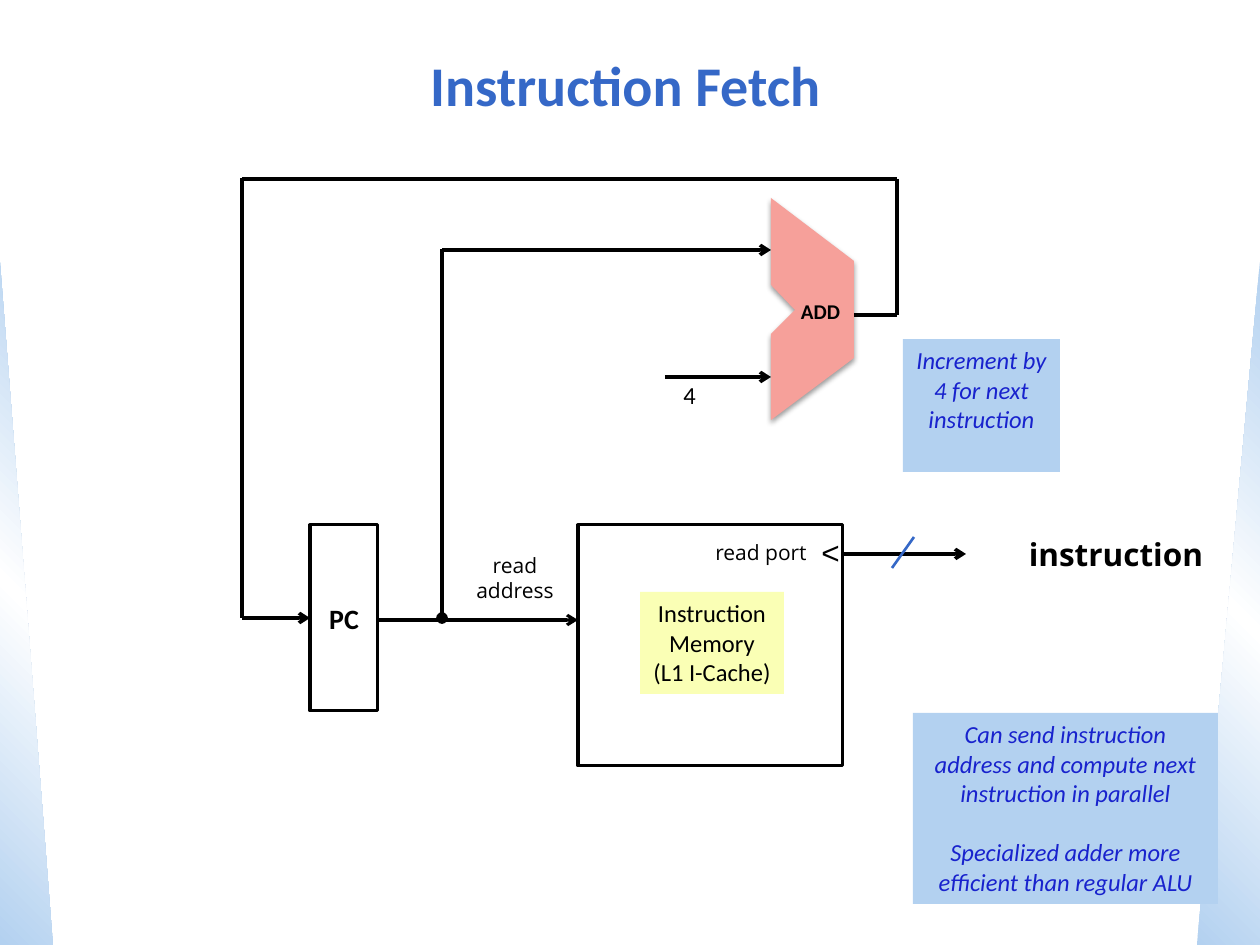
from lxml.etree import SubElement
from pptx import Presentation
from pptx.dml.color import RGBColor
from pptx.enum.shapes import MSO_CONNECTOR as Link, MSO_SHAPE as Preset
from pptx.enum.text import MSO_ANCHOR as Anchor, PP_ALIGN as Align
from pptx.oxml.ns import qn
from pptx.util import Pt

SCALE = 914400 / 126
BLACK, BLUE, PALE, INK = "000000", "3568C7", "B3D1F0", "1822CD"
NOTE = {"size": 14, "color": INK, "italic": True}
LABEL = {"size": 12, "name": "Open Sans"}


def px(*lengths):
    """Turn pixel lengths into EMU."""
    return [round(length * SCALE) for length in lengths]


def rgb(value):
    """Return the colour of a hex string."""
    return RGBColor.from_string(value)


def add_node(parent, tag, **attributes):
    """Append an XML element with attributes."""
    node = SubElement(parent, qn(tag))
    for key, value in attributes.items():
        node.set(key, str(value))
    return node


def write(shape, lines, size=14, name="Calibri", color=BLACK, align=Align.CENTER,
          anchor=Anchor.TOP, wrap=True, margins=None, gap=0, spacing=None, **style):
    """Fill a shape with paragraphs of one format."""
    frame = shape.text_frame
    layout = {"word_wrap": wrap, "vertical_anchor": anchor}
    if margins:
        across, down = px(*margins)
        layout.update(margin_left=across, margin_right=across, margin_top=down, margin_bottom=down)
    for key, value in layout.items():
        setattr(frame, key, value)
    for index, line in enumerate(lines):
        para = frame.add_paragraph() if index else frame.paragraphs[0]
        para.alignment = align
        if index and gap:
            para.space_before = Pt(gap)
        if spacing:
            para.line_spacing = Pt(spacing)
        span = para.add_run()
        span.text = line
        for key, value in {"size": Pt(size), "name": name, **style}.items():
            setattr(span.font, key, value)
        span.font.color.rgb = rgb(color)


def add_text(page, area, lines, **style):
    """Add a text box."""
    write(page.shapes.add_textbox(*px(*area)), lines, **style)


def add_box(page, area, fill=None, outline=None, lines=(), **style):
    """Add a rectangle with optional fill, outline and text."""
    box = page.shapes.add_shape(Preset.RECTANGLE, *px(*area))
    box.shadow.inherit = False
    for paint, color in ((box.fill, fill), (box.line.fill, outline)):
        if color:
            paint.solid()
            paint.fore_color.rgb = rgb(color)
        else:
            paint.background()
    if outline:
        box.line.width = Pt(1.75)
    write(box, lines, **style)


def add_wire(page, start, end, width=2, tail=None, color=BLACK):
    """Add a straight line with an optional end mark."""
    wire = page.shapes.add_connector(Link.STRAIGHT, *px(*start, *end))
    wire.line.color.rgb = rgb(color)
    wire.line.width = Pt(width)
    if tail:
        add_node(wire.line._get_or_add_ln(), "a:tailEnd", type=tail)
    add_node(wire._element.spPr, "a:effectLst")


def add_side(page, area, angle, flip=False):
    """Add a gradient triangle at the slide's edge."""
    side = page.shapes.add_shape(Preset.RIGHT_TRIANGLE, *px(*area))
    side.shadow.inherit = False
    side.line.fill.background()
    side.fill.gradient()
    gradient = side._element.spPr.find(qn("a:gradFill"))
    for child in list(gradient):
        gradient.remove(child)
    stops = add_node(gradient, "a:gsLst")
    for place, color in ((0, PALE), (50, "FFFFFF"), (100, PALE)):
        stop = add_node(stops, "a:gs", pos=place * 1000)
        add_node(stop, "a:srgbClr", val=color)
    add_node(gradient, "a:lin", ang=angle * 60000, scaled=0)
    if flip:
        side._element.spPr.xfrm.set("flipH", "1")


def add_adder(page):
    """Add the notched adder with its soft shadow and label."""
    corners = [(771, 285), (795, 310), (771, 334), (771, 420), (854, 358), (854, 261)]
    builder = page.shapes.build_freeform(771, 198, scale=SCALE)
    builder.add_line_segments(corners, close=True)
    adder = builder.convert_to_shape()
    adder.fill.solid()
    adder.fill.fore_color.rgb = rgb("F6A09A")
    adder.line.fill.background()
    adder.shadow.inherit = False
    effects = adder._element.spPr.find(qn("a:effectLst"))
    shadow = add_node(effects, "a:outerShdw", blurRad=Pt(3.1), dist=Pt(1.6),
                      dir=90 * 60000, rotWithShape=0)
    add_node(add_node(shadow, "a:srgbClr", val=BLACK), "a:alpha", val=38000)
    add_text(page, (798, 292, 59, 32), ["ADD"], size=12, bold=True, align=Align.LEFT,
             wrap=False, margins=(3, 4), spacing=16)


def add_wires(page):
    """Add the data paths."""
    add_wire(page, (378, 620), (578, 620), 1.75, "arrow")
    add_wire(page, (442, 250), (771, 250), tail="arrow")
    add_wire(page, (442, 249), (442, 618), 2.25, "oval")
    add_wire(page, (665, 377), (771, 377), tail="arrow")
    add_wire(page, (843, 554), (966, 554), tail="arrow")
    add_wire(page, (892, 568), (914, 537), 1.5, color=BLUE)
    add_wire(page, (897, 179), (897, 315), 2.25)
    add_wire(page, (854, 315), (897, 315), 2.25)
    add_wire(page, (242, 179), (897, 179))
    add_wire(page, (242, 178), (242, 618), 2.25)
    add_wire(page, (242, 618), (310, 618), tail="arrow")


def main():
    """Build and save the slide."""
    deck = Presentation()
    deck.slide_width, deck.slide_height = px(1260, 945)
    page = deck.slides.add_slide(deck.slide_layouts[6])
    add_side(page, (0, 262, 53, 683), 315)
    add_side(page, (1197, 262, 63, 683), 45, flip=True)
    add_text(page, (32, 32, 1187, 105), ["Instruction Fetch"], size=32, color=BLUE,
             bold=True, anchor=Anchor.MIDDLE)
    add_box(page, (913, 713, 305, 191), PALE, lines=[
        "Can send instruction address and compute next instruction in parallel",
        "Specialized adder more efficient than regular ALU"], gap=17, **NOTE)
    add_box(page, (903, 339, 157, 133), PALE,
            lines=["Increment by 4 for next instruction"], **NOTE)
    add_box(page, (310, 525, 68, 186), outline=BLACK, lines=["PC"], size=16, bold=True,
            anchor=Anchor.MIDDLE)
    add_box(page, (578, 525, 265, 241), outline=BLACK)
    add_box(page, (640, 592, 144, 102), "FAFFB5",
            lines=["Instruction", "Memory", "(L1 I-Cache)"], wrap=False)
    add_adder(page)
    add_wires(page)
    add_text(page, (462, 546, 106, 64), ["read", "address"], wrap=False, **LABEL)
    add_text(page, (703, 533, 126, 38), ["read port"], align=Align.LEFT, **LABEL)
    add_text(page, (809, 527, 44, 50), ["<"], size=18, name="Arial", align=Align.LEFT, wrap=False)
    add_text(page, (655, 374, 69, 43), ["4"])
    add_text(page, (1014, 529, 204, 50), ["instruction"], size=18, name="Open Sans",
             bold=True, wrap=False)
    deck.save("out.pptx")


if __name__ == "__main__":
    main()
